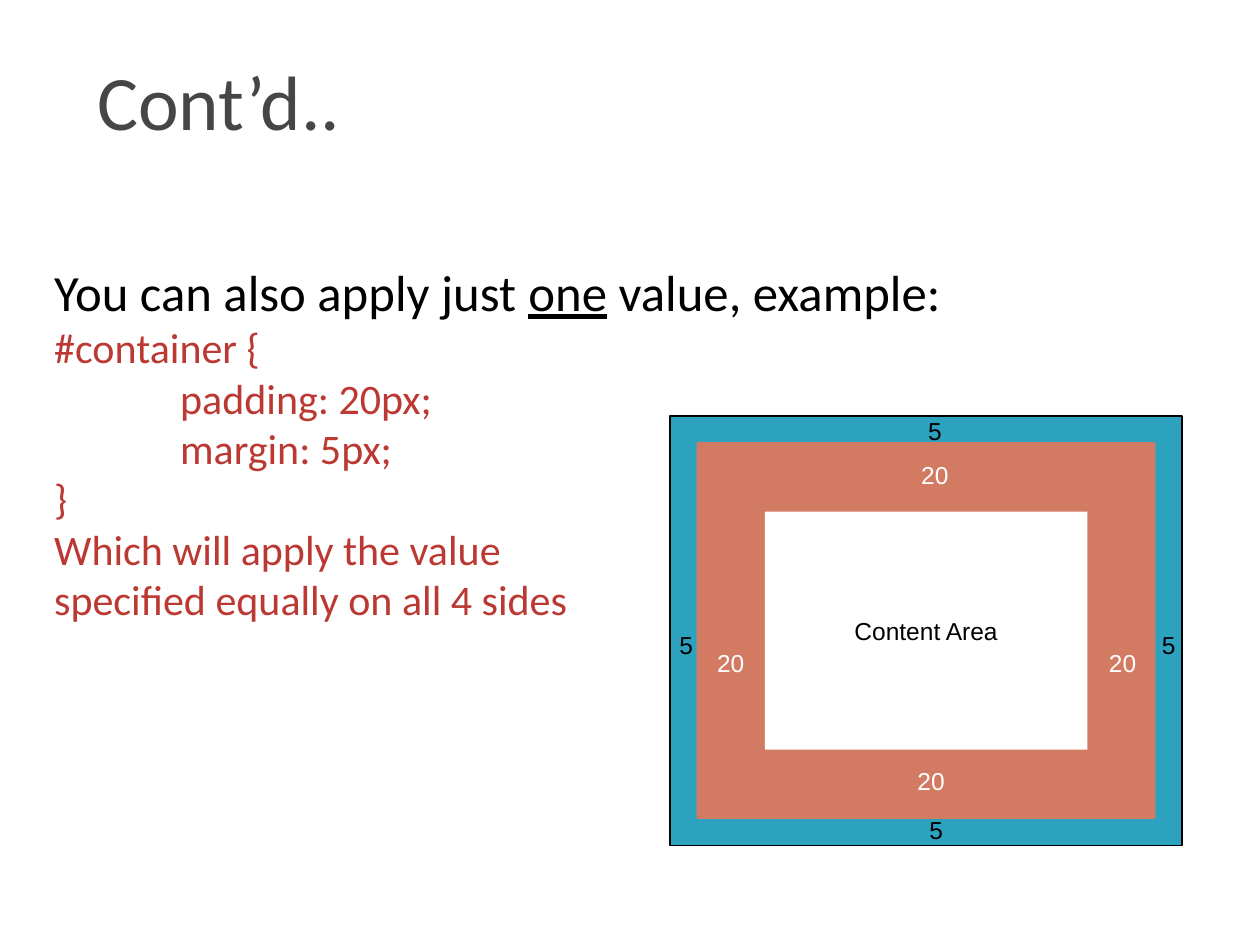
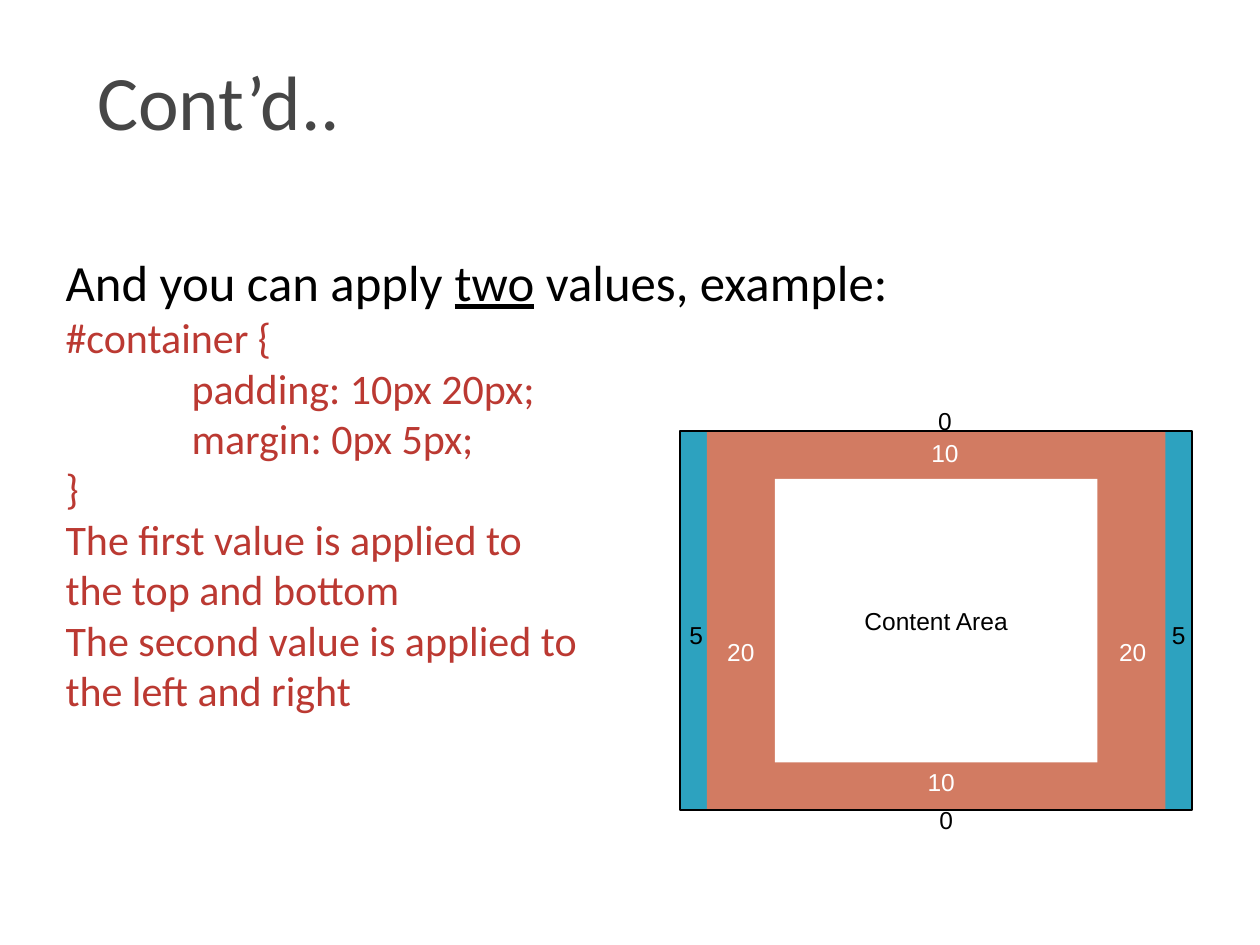
from dataclasses import dataclass

from pptx import Presentation
from pptx.dml.color import RGBColor as RGB
from pptx.enum.shapes import MSO_SHAPE as Shape
from pptx.enum.text import MSO_ANCHOR as Anchor, MSO_AUTO_SIZE as Fit, PP_ALIGN as Align
from pptx.oxml.ns import qn
from pptx.util import Inches, Pt

TITLE = "Cont’d.."
TITLE_BOX = (0.67, 0.25, 8.92, 1.08)

# Each ring is (top/bottom value, left/right value, band height, band width).
PAGES = [
    {
        "lead": ("You can also apply just ", "one", " value, example:"),
        "rules": ["padding: 20px;", "margin: 5px;"],
        "notes": ["Which will apply the value", "specified equally on all 4 sides"],
        "body": (0.33, 2.02, 9.08, 3.9),
        "frame": (5.32, 3.3, 4.06, 3.41),
        "margin": (5, 5, 0.21, 0.21),
        "padding": (20, 20, 0.55, 0.54),
    },
    {
        "lead": ("And you can apply ", "two", " values, example:"),
        "rules": ["padding: 10px 20px;", "margin: 0px 5px;"],
        "notes": ["The first value is applied to", "the top and bottom",
                  "The second value is applied to", "the left and right"],
        "body": (0.42, 1.94, 9.33, 5.06),
        "frame": (5.4, 3.42, 4.06, 3.01),
        "margin": (0, 5, 0.01, 0.21),
        "padding": (10, 20, 0.37, 0.54),
    },
]

# Shift of each label from the middle of its band: top, bottom, left, right.
NUDGE = {
    "margin": [(0.07, 0.01), (0.08, -0.02), (0.02, 0.11), (0, 0.11)],
    "padding": [(0.07, -0.02), (0.04, -0.03), (0, 0.25), (0.01, 0.25)],
}
LABEL = (0.94, 0.33)
CORE = (2.35, 0.33)


@dataclass(frozen=True)
class Theme:
    grey: RGB = RGB(0x46, 0x46, 0x46)
    red: RGB = RGB(0xBB, 0x39, 0x32)
    blue: RGB = RGB(0x2D, 0xA2, 0xBF)
    clay: RGB = RGB(0xD2, 0x7B, 0x62)
    black: RGB = RGB(0, 0, 0)
    white: RGB = RGB(255, 255, 255)
    head: str = "Calibri"
    tag: str = "Arial"
    title: int = 44
    lead: int = 29
    code: int = 24
    label: int = 14


T = Theme()


def place(shape, box):
    for key, val in zip(("left", "top", "width", "height"), box):
        setattr(shape, key, Inches(val))


def style(run, name, size, color, **more):
    for key, val in {"name": name, "size": Pt(size), **more}.items():
        setattr(run.font, key, val)
    run.font.color.rgb = color


def setup(frame, **form):
    form = {"word_wrap": True, "auto_size": Fit.NONE, **form}
    for key, val in form.items():
        setattr(frame, key, val)


def add_line(frame, first, indent=0):
    """Return a plain paragraph without bullet or spacing."""
    para = frame.paragraphs[0] if first else frame.add_paragraph()
    para.space_before = para.space_after = Pt(0)
    para.line_spacing = 1.0
    props = para._p.get_or_add_pPr()
    props.set("marL", str(Inches(indent)))
    props.set("indent", "0")
    props.append(props.makeelement(qn("a:buNone"), {}))
    return para


def add_title(slide):
    shape = slide.shapes.title
    place(shape, TITLE_BOX)
    setup(shape.text_frame, vertical_anchor=Anchor.MIDDLE)
    para = shape.text_frame.paragraphs[0]
    para.alignment = Align.LEFT
    run = para.add_run()
    run.text = TITLE
    style(run, T.head, T.title, T.grey)


def add_body(slide, page):
    shape = slide.placeholders[1]
    place(shape, page["body"])
    frame = shape.text_frame
    setup(frame, vertical_anchor=Anchor.TOP)
    para = add_line(frame, True)
    for i, text in enumerate(page["lead"]):
        run = para.add_run()
        run.text = text
        style(run, T.head, T.lead, T.black, underline=i == 1)
    code = [("#container {", 0)] + [(rule, 1) for rule in page["rules"]] + [("}", 0)]
    for text, indent in code + [(note, 0) for note in page["notes"]]:
        run = add_line(frame, False, indent).add_run()
        run.text = text
        style(run, T.head, T.code, T.red)


def add_rect(slide, box, fill, edge=None):
    rect = slide.shapes.add_shape(Shape.RECTANGLE, *map(Inches, box))
    rect.shadow.inherit = False
    rect.fill.solid()
    rect.fill.fore_color.rgb = fill
    if edge is None:
        rect.line.fill.background()
    else:
        rect.line.color.rgb = edge
        rect.line.width = Pt(1)


def add_label(slide, text, mid, size, color):
    """Add centred text around the point mid."""
    left, top = (m - s / 2 for m, s in zip(mid, size))
    box = slide.shapes.add_textbox(*map(Inches, (left, top, *size)))
    setup(box.text_frame)
    para = box.text_frame.paragraphs[0]
    para.alignment = Align.CENTER
    run = para.add_run()
    run.text = text
    style(run, T.tag, T.label, color)


def inset(box, high, wide):
    x, y, w, h = box
    return x + wide, y + high, w - 2 * wide, h - 2 * high


def centre(box):
    x, y, w, h = box
    return x + w / 2, y + h / 2


def label_ring(slide, box, ring, shifts, color):
    """Label the four bands; a zero value sits just outside its band."""
    tall, side, high, wide = ring
    x, y, w, h = box
    cx, cy = centre(box)
    out = 0 if tall else 0.1
    spots = [(tall, cx, y + high / 2 - out), (tall, cx, y + h - high / 2 + out),
             (side, x + wide / 2, cy), (side, x + w - wide / 2, cy)]
    for (val, px, py), (dx, dy) in zip(spots, shifts):
        add_label(slide, str(val), (px + dx, py + dy), LABEL, color)


def add_model(slide, page):
    outer = page["frame"]
    inner = inset(outer, *page["margin"][2:])
    core = inset(inner, *page["padding"][2:])
    add_rect(slide, outer, T.blue, T.black)
    add_rect(slide, inner, T.clay)
    add_rect(slide, core, T.white)
    add_label(slide, "Content Area", centre(core), CORE, T.black)
    for name, box, color in (("margin", outer, T.black), ("padding", inner, T.white)):
        label_ring(slide, box, page[name], NUDGE[name], color)


def main():
    deck = Presentation()
    deck.slide_width, deck.slide_height = Inches(10), Inches(7.5)
    for page in PAGES:
        slide = deck.slides.add_slide(deck.slide_layouts[1])
        add_title(slide)
        add_body(slide, page)
        add_model(slide, page)
    deck.save("out.pptx")


if __name__ == "__main__":
    main()
